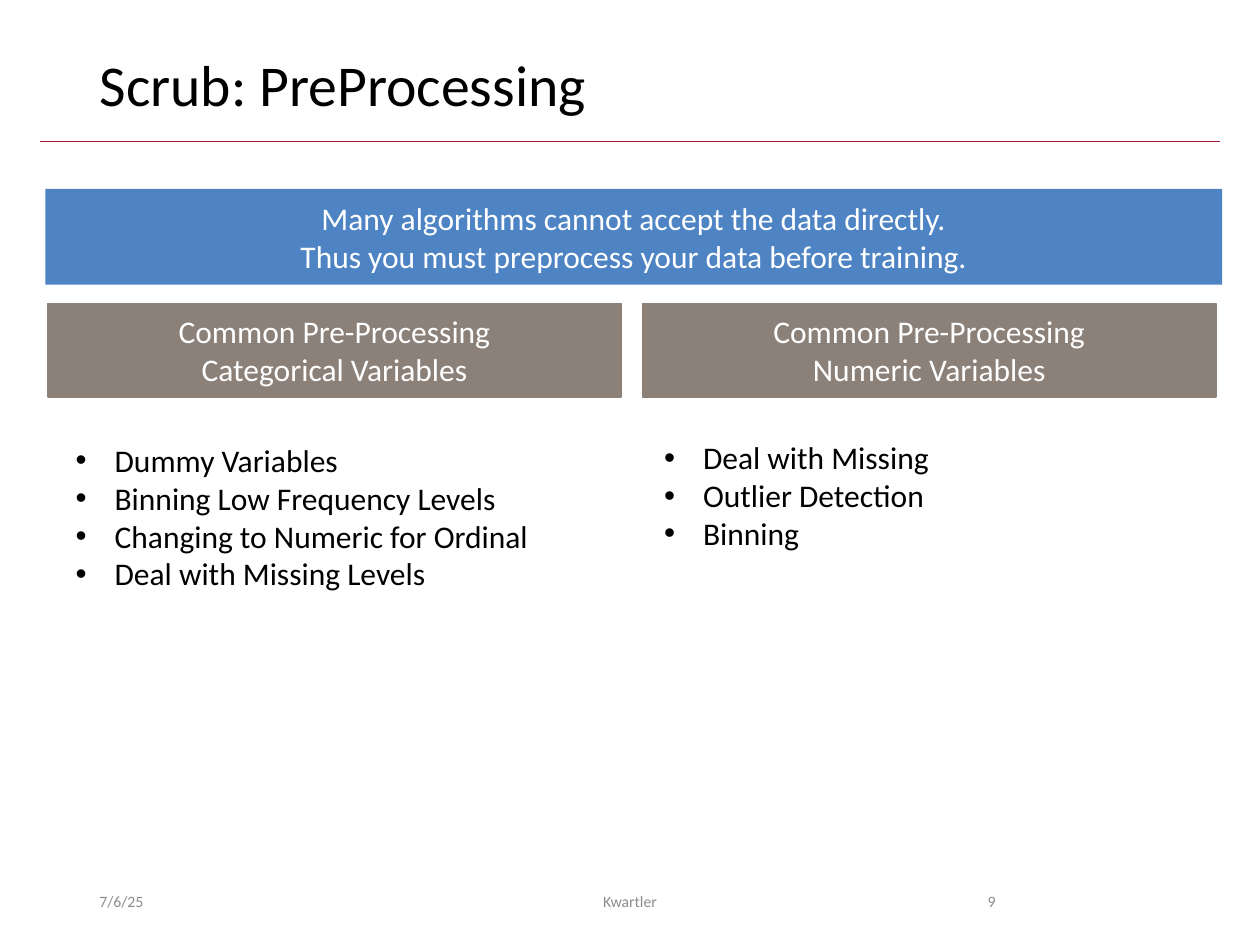
from lxml.etree import SubElement
from pptx import Presentation
from pptx.dml.color import RGBColor
from pptx.enum.shapes import MSO_CONNECTOR, MSO_SHAPE
from pptx.enum.text import MSO_ANCHOR as Anchor, MSO_AUTO_SIZE, PP_ALIGN as Align
from pptx.oxml.ns import qn
from pptx.util import Inches, Pt

BLACK = RGBColor(0x00, 0x00, 0x00)
WHITE = RGBColor(0xFF, 0xFF, 0xFF)
BLUE = RGBColor(0x4E, 0x84, 0xC4)
TAUPE = RGBColor(0x8C, 0x81, 0x79)
CRIMSON = RGBColor(0xA5, 0x1C, 0x30)
GRAY = RGBColor(0x8C, 0x8C, 0x8C)
FONT = "Calibri"

TITLE = "Scrub: PreProcessing"
MESSAGE = ("Many algorithms cannot accept the data directly.\n"
           "Thus you must preprocess your data before training.")
COLUMNS = [
    {
        "heading": "Common Pre-Processing\nCategorical Variables",
        "steps": ["Dummy Variables", "Binning Low Frequency Levels",
                  "Changing to Numeric for Ordinal", "Deal with Missing Levels"],
        "steps_box": (0.5, 3.45, 3.84, 1.31),
    },
    {
        "heading": "Common Pre-Processing\nNumeric Variables",
        "steps": ["Deal with Missing", "Outlier Detection", "Binning"],
        "steps_box": (5.17, 3.43, 2.35, 1.01),
    },
]
FOOTER = [
    ("7/6/25", 0.69, 2.25, Align.LEFT),
    ("Kwartler", 3.31, 3.38, Align.CENTER),
    ("9", 7.06, 0.94, Align.RIGHT),
]
HEADING_LEFT, HEADING_WIDTH, HEADING_GAP = 0.38, 4.55, 0.17


def place(shape, box):
    shape.left, shape.top, shape.width, shape.height = map(Inches, box)


def write(shape, text, size, color, align, anchor):
    frame = shape.text_frame
    frame.text = text
    frame.word_wrap = True
    frame.auto_size = MSO_AUTO_SIZE.NONE
    frame.vertical_anchor = anchor
    for paragraph in frame.paragraphs:
        paragraph.alignment = align
        paragraph.space_before = Pt(0)
        for run in paragraph.runs:
            run.font.name = FONT
            run.font.size = Pt(size)
            run.font.color.rgb = color


def add_banner(slide, text, box, fill):
    banner = slide.shapes.add_shape(MSO_SHAPE.RECTANGLE, *map(Inches, box))
    banner.shadow.inherit = False
    banner.fill.solid()
    banner.fill.fore_color.rgb = fill
    write(banner, text, 18, WHITE, Align.CENTER, Anchor.MIDDLE)
    return banner


def main():
    deck = Presentation()
    deck.slide_width, deck.slide_height = Inches(10), Inches(7.5)
    slide = deck.slides.add_slide(deck.slide_layouts.get_by_name("Two Content"))
    title, *step_lists = slide.placeholders

    rule = slide.shapes.add_connector(
        MSO_CONNECTOR.STRAIGHT, *map(Inches, (0.32, 1.12, 9.68, 1.12)))
    rule.line.color.rgb = CRIMSON
    rule.line.width = Pt(0.5)
    SubElement(rule.element.spPr, qn("a:effectLst"))

    place(title, (0.69, 0.4, 8.62, 0.65))
    write(title, TITLE, 33, BLACK, Align.LEFT, Anchor.TOP)
    title.text_frame.paragraphs[0].line_spacing = 0.9

    message = add_banner(slide, MESSAGE, (0.36, 1.5, 9.34, 0.76), BLUE)
    message.line.fill.background()

    for index, (column, steps) in enumerate(zip(COLUMNS, step_lists)):
        left = HEADING_LEFT + index * (HEADING_WIDTH + HEADING_GAP)
        heading = add_banner(slide, column["heading"],
                             (left, 2.41, HEADING_WIDTH, 0.74), TAUPE)
        heading.line.color.rgb = TAUPE
        heading.line.width = Pt(1)

        place(steps, column["steps_box"])
        write(steps, "\n".join(column["steps"]), 18, BLACK, Align.LEFT, Anchor.TOP)
        for paragraph in steps.text_frame.paragraphs:
            properties = paragraph._p.get_or_add_pPr()
            properties.set("marL", str(Inches(0.31)))
            properties.set("indent", str(-Inches(0.31)))

    for text, left, width, align in FOOTER:
        note = slide.shapes.add_textbox(*map(Inches, (left, 6.95, width, 0.4)))
        write(note, text, 9, GRAY, align, Anchor.MIDDLE)

    deck.save("out.pptx")


if __name__ == "__main__":
    main()
